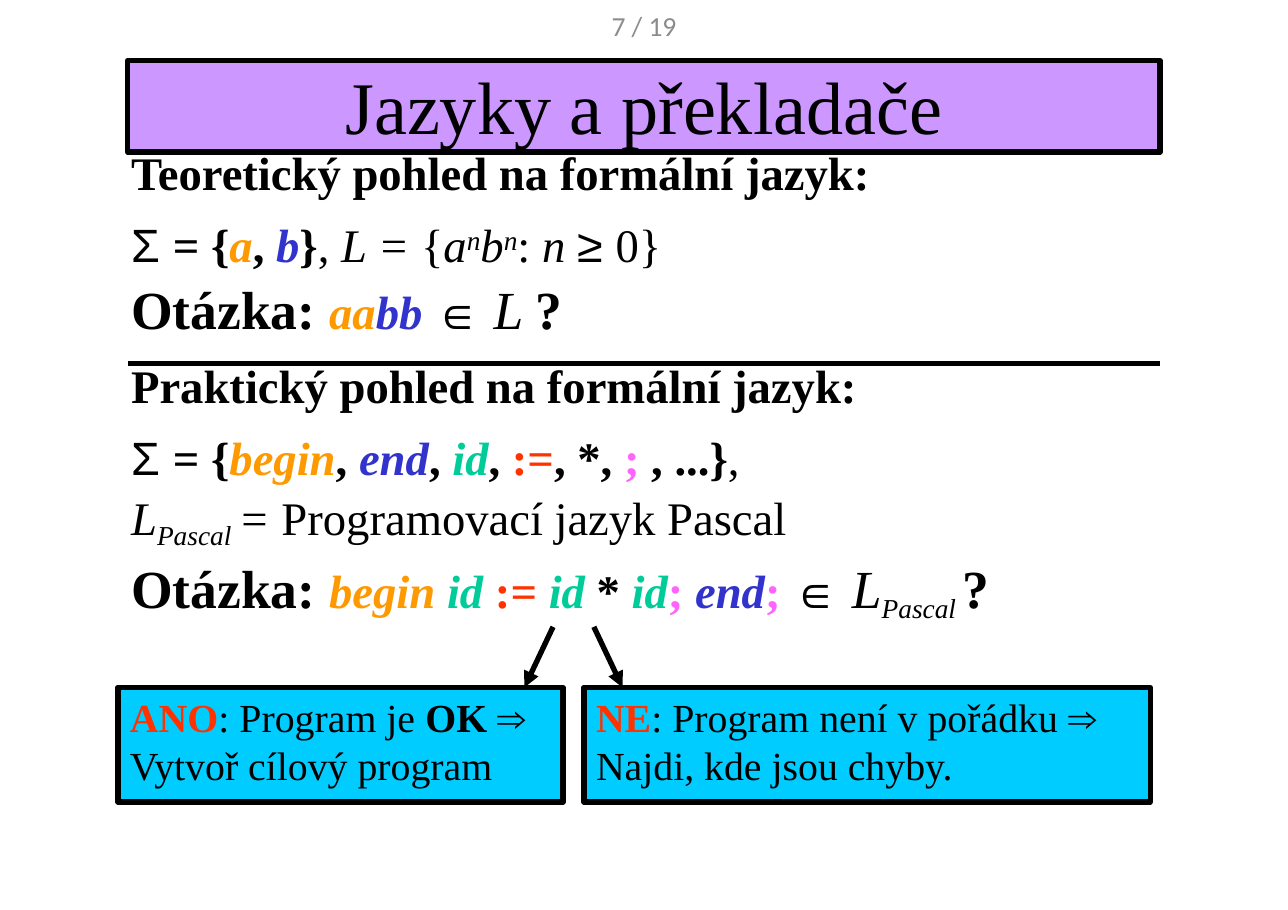
import pptx
import pptx.util
import pptx.dml.color
import pptx.enum.text
import pptx.enum.shapes
import pptx.oxml
import pptx.oxml.ns

Inches = pptx.util.Inches
Pt = pptx.util.Pt
TOP = pptx.enum.text.MSO_ANCHOR.TOP
LEFT = pptx.enum.text.PP_ALIGN.LEFT
MID = pptx.enum.text.PP_ALIGN.CENTER

# Content: each line is (space before, runs); each run is (text, style)
TITLE = [(0.9, [("Jazyky a překladače", "title")])]
PAGE = [(0, [("7 / 19", "page")])]
BODY = [
    (10.9, [("Teoretický pohled na formální jazyk:", "bold")]),
    (9.9, [("Σ ", "sign"), ("= {", "bold"), ("a", "amber"), (", ", "bold"),
           ("b", "blue"), ("}", "bold"), (", ", "plain"), ("L = ", "slant"),
           ("{", "plain"), ("a", "slant"), ("n", "sup"), ("b", "slant"),
           ("n", "sup"), (": ", "plain"), ("n ", "slant"), ("≥ ", "sign"),
           ("0}", "plain")]),
    (2.7, [("Otázka: ", "ask"), ("aa", "amber"), ("bb ", "blue"),
           ("∈ ", "sign"), ("L ", "lang"), ("?", "ask")]),
    (10.9, [("Praktický pohled na formální jazyk:", "bold")]),
    (10, [("Σ ", "sign"), ("= {", "bold"), ("begin", "amber"), (", ", "bold"),
          ("end", "blue"), (", ", "bold"), ("id", "green"), (", ", "bold"),
          (":=", "red"), (", *, ", "bold"), ("; ", "pink"),
          (", ...}", "bold"), (",", "plain")]),
    (2.9, [("L", "slant"), ("Pascal ", "sub"), ("= ", "slant"),
           ("Programovací jazyk Pascal", "plain")]),
    (2.8, [("Otázka: ", "ask"), ("begin ", "amber"), ("id ", "green"),
           (":= ", "red"), ("id ", "green"), ("* ", "bold"), ("id", "green"),
           ("; ", "pink"), ("end", "blue"), ("; ", "pink"), ("∈ ", "sign"),
           ("L", "lang"), ("Pascal ", "sub"), ("?", "ask")]),
]
YES = [
    (1.4, [("ANO", "key"), (": Program je ", "note"), ("OK ", "strong"),
           ("⇒", "arrow")]),
    (0.3, [("Vytvoř cílový program", "note")]),
]
NO = [
    (1.4, [("NE", "key"), (": Program není v pořádku ", "note"),
           ("⇒", "arrow")]),
    (0.3, [("Najdi, kde jsou chyby.", "note")]),
]

# Theme: colours, fonts, sizes and run styles
SERIF, SANS = "Times New Roman", "Arial"
BLACK, RED = "000000", "FF3200"


def style(size=30.5, color=BLACK, bold=False, slant=False, font=SERIF, shift=0):
    return dict(size=size, color=color, bold=bold, slant=slant, font=font,
                shift=shift)


THEME = {
    "band": "CC98FF", "box": "00CCFF", "line": BLACK, "width": 3.5,
    "runs": {
        "title": style(48.5),
        "page": style(18, "8C8C8C", font="Calibri"),
        "plain": style(),
        "bold": style(bold=True),
        "slant": style(slant=True),
        "sign": style(font=SANS),
        "sup": style(30.8, slant=True, shift=26),
        "sub": style(30.8, slant=True, shift=-20),
        "ask": style(35, bold=True),
        "lang": style(35, slant=True),
        "amber": style(color="FF9900", bold=True, slant=True),
        "blue": style(color="3232CC", bold=True, slant=True),
        "green": style(color="00CC99", bold=True, slant=True),
        "red": style(color=RED, bold=True),
        "pink": style(color="FF64FF", bold=True),
        "key": style(26, RED, bold=True),
        "note": style(26),
        "strong": style(26, bold=True),
        "arrow": style(26, font=SANS),
    },
}


def tint(code):
    return pptx.dml.color.RGBColor.from_string(code)


def write(shape, lines, align=LEFT, anchor=TOP, pad=(0, 0, 0, 0)):
    frame = shape.text_frame
    frame.word_wrap = True
    frame.auto_size = pptx.enum.text.MSO_AUTO_SIZE.NONE
    frame.vertical_anchor = anchor
    (frame.margin_left, frame.margin_top,
     frame.margin_right, frame.margin_bottom) = map(Inches, pad)
    for i, (gap, runs) in enumerate(lines):
        para = frame.add_paragraph() if i else frame.paragraphs[0]
        para.alignment = align
        para.space_before = Pt(gap)
        for text, name in runs:
            look = THEME["runs"][name]
            run = para.add_run()
            run.text = text
            font = run.font
            font.name, font.size = look["font"], Pt(look["size"])
            font.bold, font.italic = look["bold"], look["slant"]
            font.color.rgb = tint(look["color"])
            if look["shift"]:
                run._r.get_or_add_rPr().set("baseline", str(look["shift"] * 1000))


def paint(shape, fill):
    shape.fill.solid()
    shape.fill.fore_color.rgb = tint(fill)
    shape.line.color.rgb = tint(THEME["line"])
    shape.line.width = Pt(THEME["width"])


def rule(slide, start, end, head=False):
    line = slide.shapes.add_connector(
        pptx.enum.shapes.MSO_CONNECTOR.STRAIGHT,
        *map(Inches, start + end))
    line.line.color.rgb = tint(THEME["line"])
    line.line.width = Pt(THEME["width"])
    if head:
        tail = pptx.oxml.parse_xml(
            '<a:tailEnd %s type="triangle" w="med" len="med"/>'
            % pptx.oxml.ns.nsdecls("a"))
        line.line._get_or_add_ln().append(tail)
    line._element.spPr.append(pptx.oxml.parse_xml(
        "<a:effectLst %s/>" % pptx.oxml.ns.nsdecls("a")))


def label(slide, place, lines, align=LEFT):
    write(slide.shapes.add_textbox(*map(Inches, place)), lines, align)


def main():
    deck = pptx.Presentation()
    deck.slide_width, deck.slide_height = Inches(11.69), Inches(8.26)
    slide = deck.slides.add_slide(deck.slide_layouts[5])

    # Title band
    title = slide.shapes.title
    title.left, title.top, title.width, title.height = map(
        Inches, (1.16, 0.55, 9.37, 0.83))
    paint(title, THEME["band"])
    write(title, TITLE, MID, pptx.enum.text.MSO_ANCHOR.BOTTOM, (0, 0, 0, 0.02))

    # Page number, two views of a language and the rule between them
    label(slide, (0, 0.08, 11.69, 0.3), PAGE, MID)
    label(slide, (1.19, 1.31, 9.34, 4.6), BODY)
    rule(slide, (1.16, 3.3), (10.53, 3.3))

    # Answers, each with its arrow
    answers = [(YES, 1.07, 4.04, 5.02, 4.76), (NO, 5.3, 5.14, 5.39, 5.65)]
    for lines, left, width, start, end in answers:
        box = slide.shapes.add_shape(
            pptx.enum.shapes.MSO_SHAPE.RECTANGLE,
            *map(Inches, (left, 6.24, width, 1.04)))
        box.shadow.inherit = False
        paint(box, THEME["box"])
        write(box, lines, pad=(0.11, 0.05, 0, 0))
        rule(slide, (start, 5.69), (end, 6.24), head=True)

    deck.save("out.pptx")


if __name__ == "__main__":
    main()
